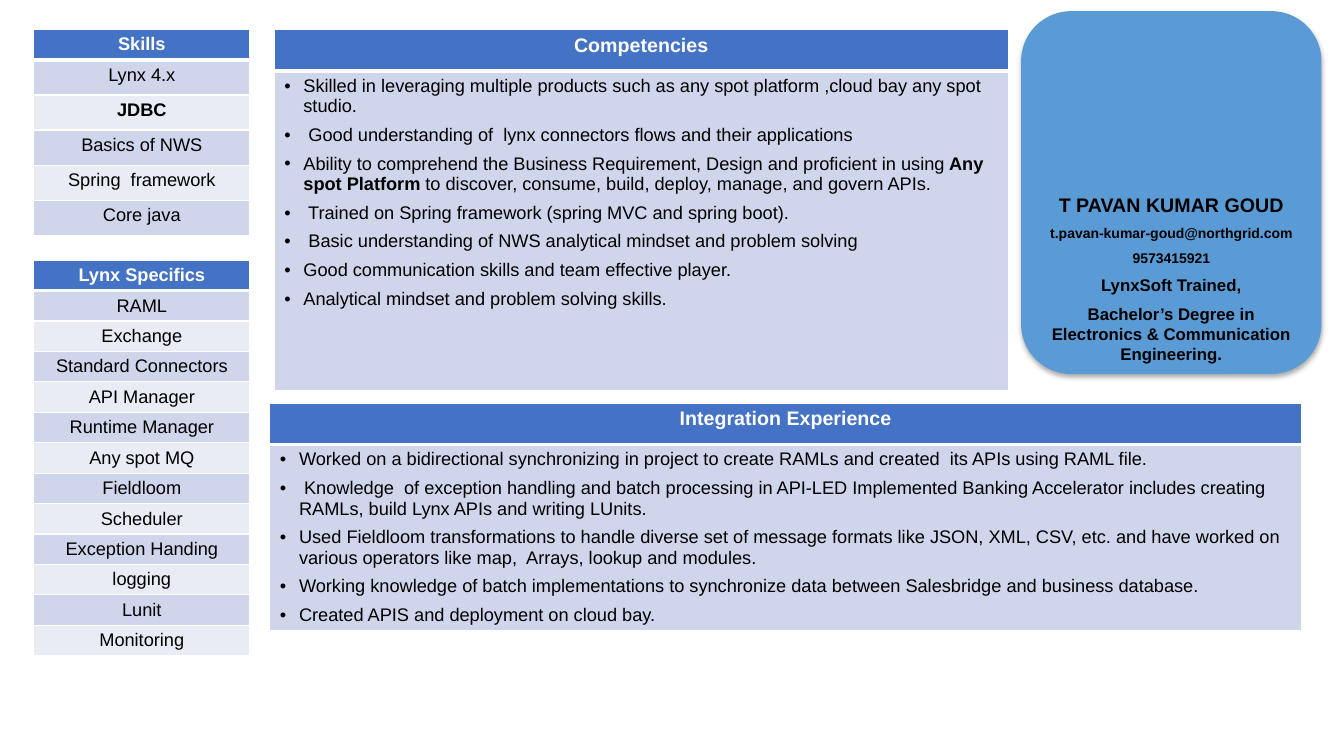
from collections import namedtuple

from lxml.etree import SubElement
from pptx import Presentation
from pptx.dml.color import RGBColor
from pptx.enum.shapes import MSO_SHAPE
from pptx.enum.text import MSO_ANCHOR, PP_ALIGN
from pptx.oxml.ns import qn
from pptx.util import Inches, Pt

Box = namedtuple("Box", "left top width height")

SLIDE_WIDTH, SLIDE_HEIGHT = Inches(13.33), Inches(7.5)
COLUMN, ROW = SLIDE_WIDTH / 40, SLIDE_HEIGHT / 25

BLUE, SKY, BAND, PALE = "4472C4", "5B9BD5", "CFD5EA", "E9EBF5"
WHITE, BLACK = "FFFFFF", "000000"

SKILLS = ["Lynx 4.x", "*JDBC*", "Basics of NWS", "Spring  framework", "Core java"]
SPECIFICS = [
    "RAML", "Exchange", "Standard Connectors", "API Manager", "Runtime Manager",
    "Any spot MQ", "Fieldloom", "Scheduler", "Exception Handing", "logging",
    "Lunit", "Monitoring",
]
COMPETENCIES = [
    "Skilled in leveraging multiple products such as any spot platform ,cloud bay any spot studio.",
    " Good understanding of  lynx connectors flows and their applications",
    "Ability to comprehend the Business Requirement, Design and proficient in using "
    "*Any spot Platform *to discover, consume, build, deploy, manage, and govern APIs.",
    " Trained on Spring framework (spring MVC and spring boot).",
    " Basic understanding of NWS analytical mindset and problem solving",
    "Good communication skills and team effective player.",
    "Analytical mindset and problem solving skills.",
]
EXPERIENCE = [
    "Worked on a bidirectional synchronizing in project to create RAMLs and created  its APIs using RAML file.",
    " Knowledge  of exception handling and batch processing in API-LED Implemented Banking Accelerator "
    "includes creating RAMLs, build Lynx APIs and writing LUnits.",
    "Used Fieldloom transformations to handle diverse set of message formats like JSON, XML, CSV, etc. "
    "and have worked on various operators like map,  Arrays, lookup and modules.",
    "Working knowledge of batch implementations to synchronize data between Salesbridge and business database.",
    "Created APIS and deployment on cloud bay.",
]
PROFILE = [
    ("T PAVAN KUMAR GOUD", 14),
    ("t.pavan-kumar-goud@northgrid.com", 10),
    ("9573415921", 10),
    ("LynxSoft Trained,", 12),
    ("Bachelor’s Degree in Electronics & Communication Engineering.", 12),
]


def color(hex_code):
    return RGBColor.from_string(hex_code)


def place(box):
    """Turn a box in grid units into slide lengths."""
    return [round(box.left * COLUMN), round(box.top * ROW),
            round(box.width * COLUMN), round(box.height * ROW)]


def write(para, text, size, ink=BLACK, bold=False, centred=True, after=0):
    """Fill a paragraph; text between asterisks is bold."""
    para.alignment = PP_ALIGN.CENTER if centred else PP_ALIGN.LEFT
    para.space_after = Pt(after)
    font = para.font
    font.name, font.size, font.color.rgb = "Arial", Pt(size), color(ink)
    for index, part in enumerate(text.split("*")):
        if part:
            span = para.add_run()
            span.text = part
            span.font.bold = bold or index % 2 == 1


def add_bullet(para):
    properties = para._p.get_or_add_pPr()
    properties.set("marL", str(Inches(0.19)))
    properties.set("indent", str(-Inches(0.19)))
    SubElement(properties, qn("a:buFont"), typeface="Arial")
    SubElement(properties, qn("a:buChar"), char="•")


def style_cell(cell, fill, bottom=1):
    """Give a cell white borders and a plain fill."""
    properties = cell._tc.get_or_add_tcPr()
    for side, width in (("lnL", 1), ("lnR", 1), ("lnT", 1), ("lnB", bottom)):
        line = SubElement(properties, qn(f"a:{side}"), w=str(Pt(width)))
        SubElement(SubElement(line, qn("a:solidFill")), qn("a:srgbClr"), val=WHITE)
    cell.fill.solid()
    cell.fill.fore_color.rgb = color(fill)


def add_titled_table(page, box, title, title_size, title_height, body_rows, after=0):
    """Add a one-column table and return its body cells."""
    table = page.shapes.add_table(body_rows + 1, 1, *place(box)).table
    header, *body = [row.cells[0] for row in table.rows]
    body_height = (box.height - title_height) / body_rows
    for index, row in enumerate(table.rows):
        row.height = round((body_height if index else title_height) * ROW)
    style_cell(header, BLUE, bottom=3)
    write(header.text_frame.paragraphs[0], title, title_size, WHITE, True, after=after)
    return body


def add_list_table(page, box, title, items):
    cells = add_titled_table(page, box, title, 13, 1, len(items))
    for index, (cell, item) in enumerate(zip(cells, items)):
        style_cell(cell, PALE if index % 2 else BAND)
        write(cell.text_frame.paragraphs[0], item, 13)


def add_bullet_table(page, box, title, items):
    cell, = add_titled_table(page, box, title, 14, 1.37, 1, after=6)
    style_cell(cell, BAND)
    frame = cell.text_frame
    for index, item in enumerate(items):
        para = frame.add_paragraph() if index else frame.paragraphs[0]
        write(para, item, 13, centred=False, after=6)
        add_bullet(para)


def add_profile_card(page, box):
    card = page.shapes.add_shape(MSO_SHAPE.ROUNDED_RECTANGLE, *place(box))
    card.fill.solid()
    card.fill.fore_color.rgb = color(SKY)
    card.line.fill.background()
    card.shadow.inherit = False
    effects = card._element.spPr.find(qn("a:effectLst"))
    shadow = SubElement(effects, qn("a:outerShdw"), blurRad=str(Pt(3.5)),
                        dist=str(Pt(2.2)), dir="5400000", rotWithShape="0")
    shade = SubElement(shadow, qn("a:srgbClr"), val=BLACK)
    SubElement(shade, qn("a:alpha"), val="32000")

    frame = card.text_frame
    frame.word_wrap = True
    frame.vertical_anchor = MSO_ANCHOR.TOP
    frame.margin_top, frame.margin_bottom = round(0.46 * box.height * ROW), 0
    for index, (text, size) in enumerate(PROFILE):
        para = frame.add_paragraph() if index else frame.paragraphs[0]
        write(para, text, size, bold=True, after=6)


def main():
    deck = Presentation()
    deck.slide_width, deck.slide_height = SLIDE_WIDTH, SLIDE_HEIGHT
    page = deck.slides.add_slide(deck.slide_layouts[6])
    add_profile_card(page, Box(30.39, 0.37, 8.94, 12))
    add_bullet_table(page, Box(8.16, 0.97, 21.85, 11.95), "Competencies", COMPETENCIES)
    add_bullet_table(page, Box(8.03, 13.33, 30.71, 7.5), "Integration Experience", EXPERIENCE)
    add_list_table(page, Box(1, 0.97, 6.44, 6.82), "Skills", SKILLS)
    add_list_table(page, Box(1, 8.6, 6.44, 13.08), "Lynx Specifics", SPECIFICS)
    deck.save("out.pptx")


if __name__ == "__main__":
    main()
